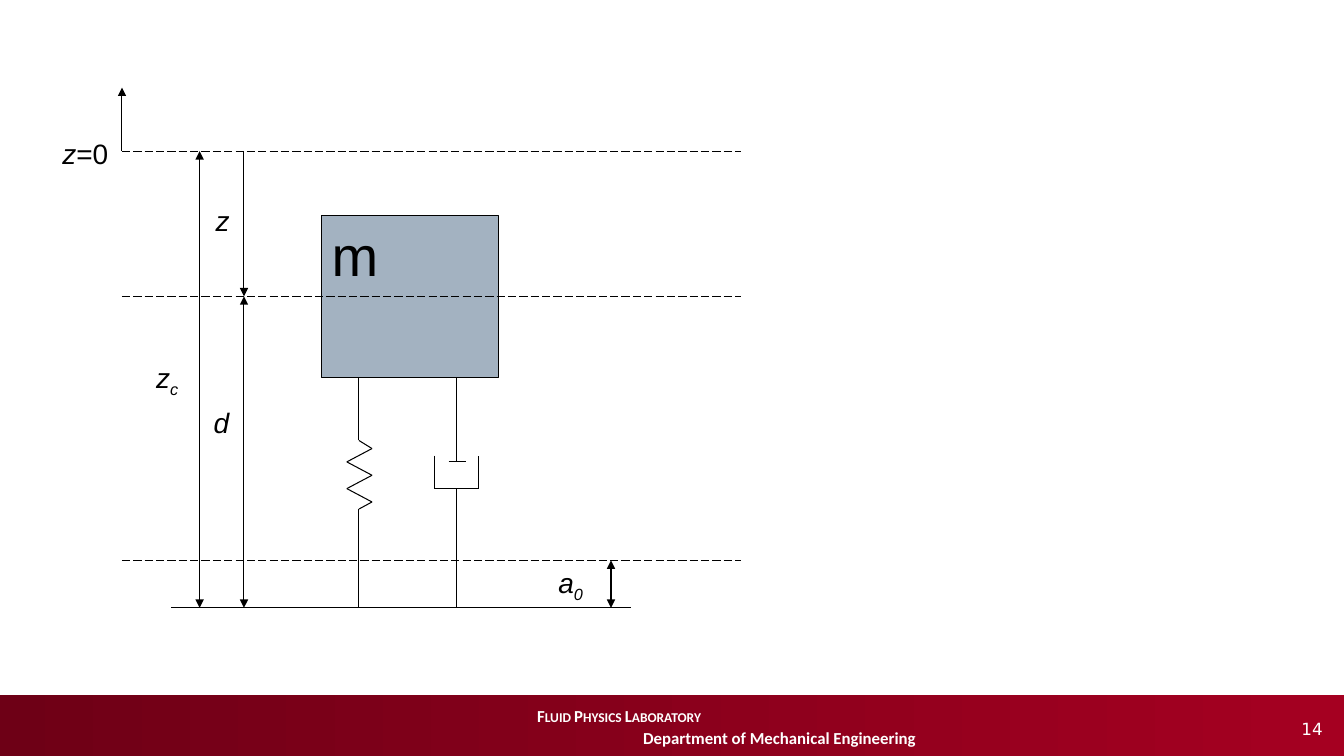
from dataclasses import dataclass
from itertools import pairwise

from lxml import etree
from pptx import Presentation
from pptx import util as u
from pptx.dml.color import RGBColor
from pptx.enum import dml, shapes, text
from pptx.oxml import ns

BLACK, WHITE = "000000", "FFFFFF"
DATUM, CENTRE, SURFACE, GROUND = 1.5, 2.94, 5.56, 6.03
MASS_LEFT, MASS_TOP, MASS_WIDTH, MASS_BOTTOM = 3.19, 2.14, 1.75, 3.75
SPRING_X, DAMPER_X = 3.56, 4.53
LEFT, RIGHT = 1.21, 7.35


@dataclass
class Path:
    points: list[tuple[float, float]]
    dashed: bool = False
    head: bool = False
    tail: bool = False


@dataclass
class Label:
    left: float
    top: float
    width: float
    symbol: str
    subscript: str = ""
    suffix: str = ""


@dataclass
class FooterLine:
    words: str
    indent: float
    small_caps: bool = False


def rgb(value: str) -> RGBColor:
    return RGBColor.from_string(value)


def set_font(font, name: str, size: float, color: str) -> None:
    font.name = name
    font.size = u.Pt(size)
    font.color.rgb = rgb(color)


def draw_path(s, path: Path) -> None:
    for start, end in pairwise(path.points):
        c = s.shapes.add_connector(
            shapes.MSO_CONNECTOR.STRAIGHT, *map(u.Inches, start + end))
        c.line.color.rgb = rgb(BLACK)
        c.line.width = u.Pt(0.75)
        if path.dashed:
            c.line.dash_style = dml.MSO_LINE.LONG_DASH
        ln = c.line._get_or_add_ln()
        for tag, wanted in (("a:headEnd", path.head), ("a:tailEnd", path.tail)):
            if wanted:
                etree.SubElement(ln, ns.qn(tag), type="triangle")
        etree.SubElement(c._element.spPr, ns.qn("a:effectLst"))


def add_text_box(s, left: float, top: float, width: float, height: float):
    sp = s.shapes.add_textbox(*map(u.Inches, (left, top, width, height)))
    sp.text_frame.word_wrap = True
    return sp.text_frame.paragraphs[0]


def draw_label(s, label: Label) -> None:
    p = add_text_box(s, label.left, label.top, label.width, 0.44)
    set_font(p.font, "Arial", 20, BLACK)
    r = p.add_run()
    r.text = label.symbol
    r.font.italic = True
    if label.subscript:
        r = p.add_run()
        r.text = label.subscript
        r.font.italic = True
        r.font._element.set("baseline", "-25000")
    if label.suffix:
        p.add_run().text = label.suffix


def add_rectangle(s, left: float, top: float, width: float, height: float):
    sp = s.shapes.add_shape(shapes.MSO_SHAPE.RECTANGLE,
                            *map(u.Inches, (left, top, width, height)))
    sp.shadow.inherit = False
    return sp


def draw_footer(s, lines: list[FooterLine], number: str) -> None:
    bar = add_rectangle(s, -0.03, 6.9, 13.4, 0.6)
    bar.line.fill.background()
    bar.fill.gradient()
    bar.fill.gradient_angle = 0
    for stop, color in zip(bar.fill.gradient_stops, ("6E0016", "A50021")):
        stop.color.rgb = rgb(color)
    tf = bar.text_frame
    tf.vertical_anchor = text.MSO_ANCHOR.MIDDLE
    for i, line in enumerate(lines):
        p = tf.add_paragraph() if i else tf.paragraphs[0]
        p.alignment = text.PP_ALIGN.LEFT
        p.line_spacing = u.Pt(16)
        p._p.get_or_add_pPr().set("marL", str(u.Inches(line.indent)))
        set_font(p.font, "Calibri", 12, WHITE)
        p.font.bold = True
        r = p.add_run()
        r.text = line.words
        if line.small_caps:
            r.font._element.set("cap", "small")
    p = add_text_box(s, 12.81, 7.08, 0.5, 0.3)
    p.text = number
    set_font(p.font, "DejaVu Sans", 12, WHITE)


def draw_mass(s) -> None:
    sp = add_rectangle(s, MASS_LEFT, MASS_TOP, MASS_WIDTH, MASS_BOTTOM - MASS_TOP)
    sp.fill.solid()
    sp.fill.fore_color.rgb = rgb("A3B2C1")
    sp.line.color.rgb = rgb(BLACK)
    sp.line.width = u.Pt(0.75)
    tf = sp.text_frame
    tf.vertical_anchor = text.MSO_ANCHOR.TOP
    p = tf.paragraphs[0]
    p.text = "m"
    p.alignment = text.PP_ALIGN.LEFT
    set_font(p.font, "Arial", 40, BLACK)


def vertical(x: float, start: float, end: float, **ends: bool) -> Path:
    return Path([(x, start), (x, end)], **ends)


FOOTER = [
    FooterLine("Fluid Physics Laboratory", 5.26, small_caps=True),
    FooterLine("Department of Mechanical Engineering", 6.31),
]
COILS = [(SPRING_X + (-0.12 if i % 2 else 0.13), 4.45 + i * 0.1325)
         for i in range(5)]
SPRING = Path([(SPRING_X, MASS_BOTTOM), (SPRING_X, 4.37), *COILS,
               (SPRING_X, 5.05), (SPRING_X, GROUND)])
DAMPER = [
    Path([(4.45, 4.58), (4.62, 4.58)]),
    Path([(4.31, 4.52), (4.31, 4.85), (4.75, 4.85), (4.75, 4.52)]),
    vertical(DAMPER_X, MASS_BOTTOM, 4.58),
    vertical(DAMPER_X, 4.85, GROUND),
]
LEVELS = [Path([(1.7, GROUND), (6.26, GROUND)])] + [
    Path([(LEFT, y), (RIGHT, y)], dashed=True)
    for y in (DATUM, CENTRE, SURFACE)]
DIMENSIONS = [
    vertical(LEFT, DATUM, 0.87, tail=True),
    vertical(1.98, DATUM, GROUND, head=True, tail=True),
    vertical(2.42, DATUM, CENTRE, tail=True),
    vertical(2.42, CENTRE, GROUND, head=True, tail=True),
    vertical(6.06, SURFACE, GROUND, head=True, tail=True),
]
LABELS = [
    Label(0.52, 1.31, 1.26, "z", suffix="=0"),
    Label(1.45, 3.53, 0.5, "z", subscript="c"),
    Label(2.04, 1.97, 0.38, "z"),
    Label(2.02, 3.97, 0.5, "d"),
    Label(5.44, 5.56, 0.5, "a", subscript="0"),
]


def main() -> None:
    prs = Presentation()
    prs.slide_width, prs.slide_height = u.Inches(13.33), u.Inches(7.5)
    s = prs.slides.add_slide(prs.slide_layouts[6])
    draw_footer(s, FOOTER, "14")
    draw_mass(s)
    for path in [SPRING, *DAMPER, *LEVELS, *DIMENSIONS]:
        draw_path(s, path)
    for label in LABELS:
        draw_label(s, label)
    prs.save("out.pptx")


if __name__ == "__main__":
    main()
